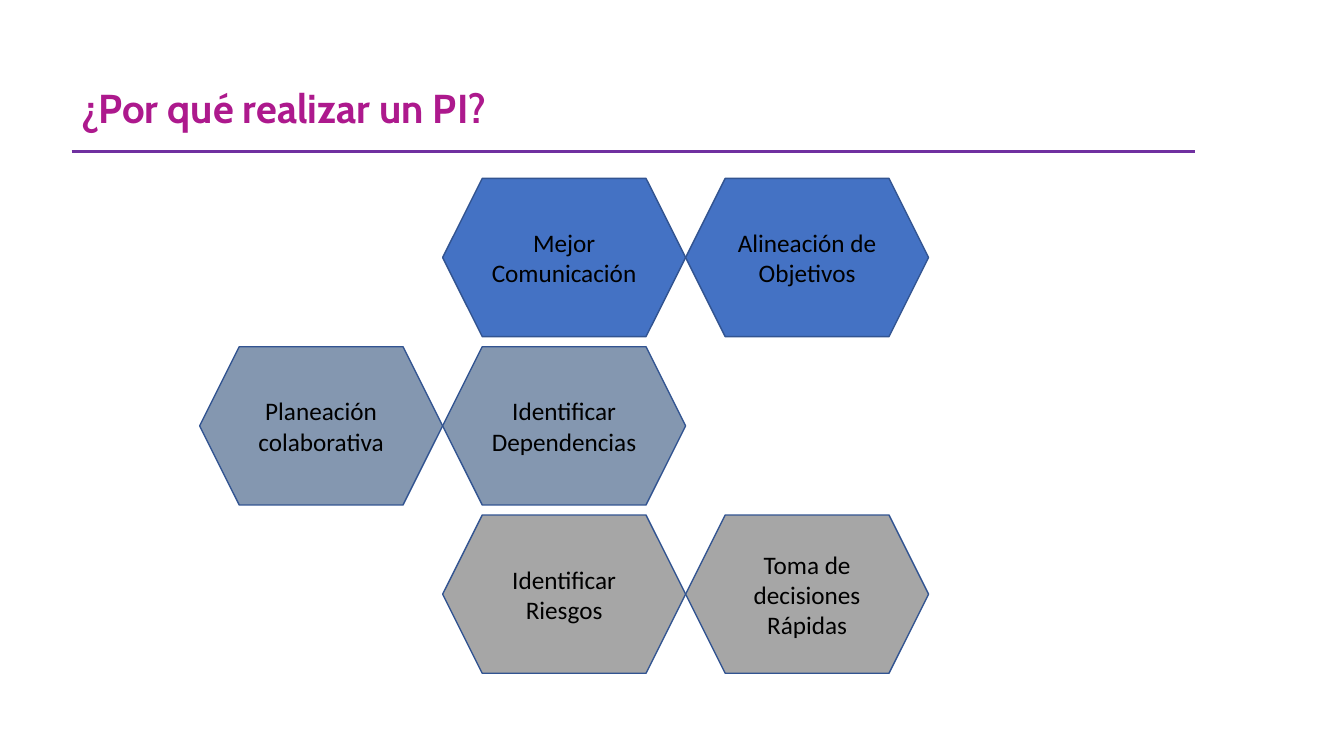
from pptx import Presentation
from pptx.dml.color import RGBColor
from pptx.enum.shapes import MSO_CONNECTOR, MSO_SHAPE
from pptx.enum.text import MSO_ANCHOR, PP_ALIGN
from pptx.oxml.ns import qn
from pptx.util import Inches, Pt
from lxml.etree import SubElement

MAGENTA = RGBColor(0xAD, 0x19, 0x8D)
PURPLE = RGBColor(0x70, 0x30, 0xA0)
BLUE = RGBColor(0x44, 0x72, 0xC4)
SLATE = RGBColor(0x84, 0x97, 0xB0)
GRAY = RGBColor(0xA6, 0xA6, 0xA6)
OUTLINE = RGBColor(0x32, 0x54, 0x91)
BLACK = RGBColor(0, 0, 0)

# Content: each row has a colour, its first column and its labels
TITLE = "¿Por qué realizar un PI?"
ROWS = [
    (BLUE, 1, ["Mejor Comunicación", "Alineación de Objetivos"]),
    (SLATE, 0, ["Planeación colaborativa", "Identificar Dependencias"]),
    (GRAY, 1, ["Identificar Riesgos", "Toma de decisiones Rápidas"]),
]

# Grid of touching hexagons, in inches
GRID_LEFT, GRID_TOP = 1.98, 1.77
HEXAGON_WIDTH, HEXAGON_HEIGHT = 2.41, 1.57
ROW_STEP = 1.67

presentation = Presentation()
presentation.slide_width = Inches(13.33)
presentation.slide_height = Inches(7.5)
slide = presentation.slides.add_slide(presentation.slide_layouts[6])

# Title
title_box = slide.shapes.add_textbox(Inches(0.71), Inches(0.79), Inches(10.33), Inches(0.61))
title_frame = title_box.text_frame
title_frame.word_wrap = True
title_frame.vertical_anchor = MSO_ANCHOR.MIDDLE
paragraph = title_frame.paragraphs[0]
paragraph.text = TITLE
paragraph.line_spacing = 0.9
paragraph.font.name = "Cabin"
paragraph.font.size = Pt(28.8)
paragraph.font.bold = True
paragraph.font.color.rgb = MAGENTA

# Rule under the title
rule = slide.shapes.add_connector(
    MSO_CONNECTOR.STRAIGHT, Inches(0.71), Inches(1.5), Inches(11.85), Inches(1.5))
rule.line.color.rgb = PURPLE
rule.line.width = Pt(2.25)
SubElement(rule._element.spPr, qn("a:effectLst"))

# Hexagons
for row, (color, first_column, labels) in enumerate(ROWS):
    for column, label in enumerate(labels, first_column):
        hexagon = slide.shapes.add_shape(
            MSO_SHAPE.HEXAGON,
            Inches(GRID_LEFT + column * HEXAGON_WIDTH), Inches(GRID_TOP + row * ROW_STEP),
            Inches(HEXAGON_WIDTH), Inches(HEXAGON_HEIGHT))
        hexagon.shadow.inherit = False
        hexagon.fill.solid()
        hexagon.fill.fore_color.rgb = color
        hexagon.line.color.rgb = OUTLINE
        hexagon.line.width = Pt(1)
        hexagon.text_frame.word_wrap = True
        hexagon.text_frame.vertical_anchor = MSO_ANCHOR.MIDDLE
        paragraph = hexagon.text_frame.paragraphs[0]
        paragraph.text = label
        paragraph.alignment = PP_ALIGN.CENTER
        paragraph.font.name = "Calibri"
        paragraph.font.size = Pt(18)
        paragraph.font.color.rgb = BLACK

presentation.save("out.pptx")
